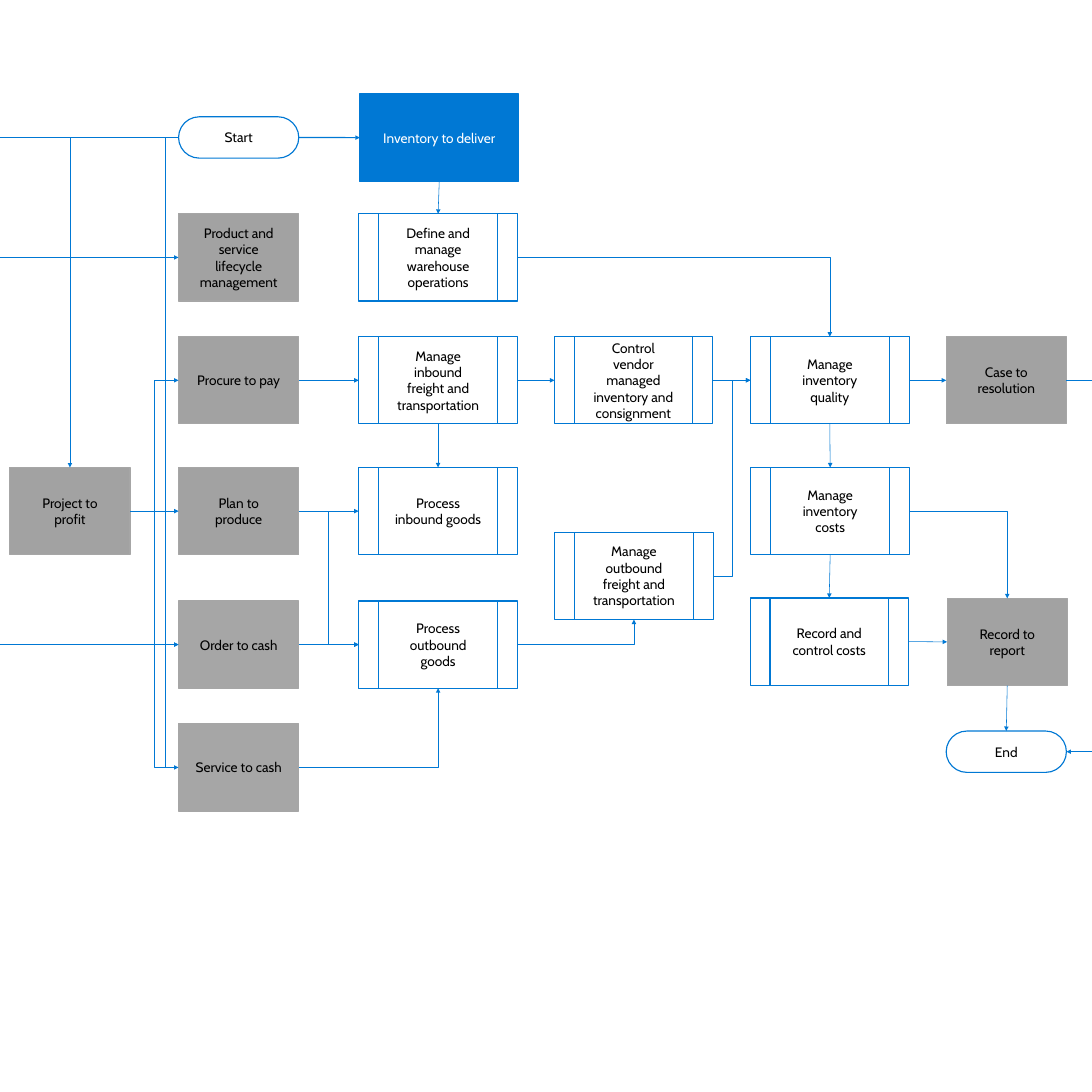
"""Draw the inventory-to-deliver process map."""
from dataclasses import dataclass

from lxml import etree
from pptx import Presentation
from pptx.dml.color import RGBColor
from pptx.enum.shapes import MSO_CONNECTOR, MSO_SHAPE
from pptx.enum.text import MSO_ANCHOR, PP_ALIGN
from pptx.oxml.ns import qn
from pptx.util import Pt

RECTANGLE = MSO_SHAPE.RECTANGLE
ROUNDED = MSO_SHAPE.ROUNDED_RECTANGLE
PREDEFINED = MSO_SHAPE.FLOWCHART_PREDEFINED_PROCESS
STRAIGHT = MSO_CONNECTOR.STRAIGHT
ELBOW = MSO_CONNECTOR.ELBOW
MIDDLE = MSO_ANCHOR.MIDDLE
CENTER = PP_ALIGN.CENTER

TOP, LEFT, BOTTOM, RIGHT = range(4)
SITES = {TOP: (0.5, 0), LEFT: (0, 0.5), BOTTOM: (0.5, 1), RIGHT: (1, 0.5)}


@dataclass(frozen=True)
class Theme:
    font: str = "Cabin"
    size: float = 18
    blue: str = "0078D4"
    white: str = "FFFFFF"
    black: str = "000000"
    gray: str = "A2A2A2"
    light_gray: str = "A6A6A6"
    thick: float = 1.5
    thin: float = 0.75
    inset_x: float = 21.6
    inset_y: float = 17.28


class ProcessMap:
    def __init__(self, page, theme):
        self.page = page
        self.theme = theme
        self.boxes = {}

    def box(self, preset, text, left, top, width, height, fill, line, color):
        theme = self.theme
        box = self.page.shapes.add_shape(
            preset, Pt(left), Pt(top), Pt(width), Pt(height))
        box.shadow.inherit = False
        if fill:
            box.fill.solid()
            box.fill.fore_color.rgb = RGBColor.from_string(fill)
        else:
            box.fill.background()
        box.line.color.rgb = RGBColor.from_string(line)
        box.line.width = Pt(theme.thick)
        frame = box.text_frame
        frame.word_wrap = True
        frame.vertical_anchor = MIDDLE
        frame.margin_left = frame.margin_right = Pt(theme.inset_x)
        frame.margin_top = frame.margin_bottom = Pt(theme.inset_y)
        para = frame.paragraphs[0]
        para.alignment = CENTER
        span = para.add_run()
        span.text = text
        span.font.name = theme.font
        span.font.size = Pt(theme.size)
        span.font.color.rgb = RGBColor.from_string(color)
        self.boxes[text] = box
        return box

    def terminal(self, text, left, top):
        box = self.box(ROUNDED, text, left, top, 158.5, 54.5,
                       None, self.theme.blue, self.theme.black)
        box.adjustments[0] = 0.5

    def related(self, text, left, top, fill):
        self.box(RECTANGLE, text, left, top, 158.5, 115,
                 fill, self.theme.light_gray, self.theme.black)

    def title(self, text, left, top):
        self.box(RECTANGLE, text, left, top, 209.5, 115,
                 self.theme.blue, self.theme.blue, self.theme.white)

    def process(self, text, left, top, width=209.5):
        self.box(PREDEFINED, text, left, top, width, 115,
                 self.theme.white, self.theme.blue, self.theme.black)

    def point(self, end):
        first, second = end
        if first not in self.boxes:
            return Pt(first), Pt(second)
        box = self.boxes[first]
        across, down = SITES[second]
        return (int(box.left + across * box.width),
                int(box.top + down * box.height))

    def connect(self, start, finish, weight, kind=STRAIGHT, preset=None, head=True):
        line = self.page.shapes.add_connector(
            kind, *self.point(start), *self.point(finish))
        if start[0] in self.boxes:
            line.begin_connect(self.boxes[start[0]], start[1])
        if finish[0] in self.boxes:
            line.end_connect(self.boxes[finish[0]], finish[1])
        line.line.color.rgb = RGBColor.from_string(self.theme.blue)
        line.line.width = Pt(weight)
        properties = line.element.spPr
        if preset:
            properties.find(qn("a:prstGeom")).set("prst", preset)
        if head:
            etree.SubElement(properties.find(qn("a:ln")), qn("a:tailEnd"),
                             type="triangle")
        etree.SubElement(properties, qn("a:effectLst"))

    def corner(self, start, finish):
        self.connect(start, finish, self.theme.thin, ELBOW, "bentConnector2")

    def step(self, start, finish):
        self.connect(start, finish, self.theme.thin, ELBOW)


def main():
    theme = Theme()
    side = 1440
    deck = Presentation()
    deck.slide_width = deck.slide_height = Pt(side)
    page = deck.slides.add_slide(deck.slide_layouts[6])
    chart = ProcessMap(page, theme)

    project_x, related_x = 13, 235.5
    inbound_x, vendor_x, quality_x, report_x = (473 + 258.25 * i for i in range(4))
    define_y, procure_y, plan_y, order_y, service_y = 282, 444, 616.5, 792.5, 954.5

    chart.terminal("Start", related_x, 154)
    chart.terminal("End", report_x, 964)
    chart.title("Inventory to deliver", 474.5, 124)
    for text, left, top, fill in (
        ("Product and service lifecycle management", related_x, define_y, theme.gray),
        ("Procure to pay", related_x, procure_y, theme.gray),
        ("Plan to produce", related_x, plan_y, theme.gray),
        ("Order to cash", related_x, order_y, theme.light_gray),
        ("Service to cash", related_x, service_y, theme.light_gray),
        ("Project to profit", project_x, plan_y, theme.gray),
        ("Case to resolution", report_x, procure_y, theme.gray),
        ("Record to report", 1249, 789, theme.gray),
    ):
        chart.related(text, left, top, fill)
    for text, left, top in (
        ("Define and manage warehouse operations", inbound_x, define_y),
        ("Manage inbound freight and transportation", inbound_x, procure_y),
        ("Process inbound goods", inbound_x, plan_y),
        ("Process outbound goods", inbound_x, order_y),
        ("Manage outbound freight and transportation", vendor_x, 702),
        ("Manage inventory quality", quality_x, procure_y),
        ("Manage inventory costs", 990, plan_y),
    ):
        chart.process(text, left, top)
    chart.process("Control vendor managed inventory and consignment",
                  vendor_x, procure_y, 208)
    chart.process("Record and control costs", quality_x, 788.5, 208)

    define = "Define and manage warehouse operations"
    inbound = "Manage inbound freight and transportation"
    outbound = "Manage outbound freight and transportation"
    vendor = "Control vendor managed inventory and consignment"
    quality, costs = "Manage inventory quality", "Manage inventory costs"
    control, report = "Record and control costs", "Record to report"
    goods_in, goods_out = "Process inbound goods", "Process outbound goods"
    project, plan, order = "Project to profit", "Plan to produce", "Order to cash"
    procure, service = "Procure to pay", "Service to cash"

    for source, target, weight in (
        ("Start", "Inventory to deliver", theme.thick),
        (procure, inbound, theme.thick),
        (plan, goods_in, theme.thick),
        (order, goods_out, theme.thick),
        (inbound, vendor, theme.thin),
        (vendor, quality, theme.thin),
        (quality, "Case to resolution", theme.thin),
        (control, report, theme.thin),
        (project, plan, theme.thin),
    ):
        chart.connect((source, RIGHT), (target, LEFT), weight)
    for source, target, weight in (
        ("Inventory to deliver", define, theme.thin),
        (inbound, goods_in, theme.thick),
        (quality, costs, theme.thin),
        (costs, control, theme.thin),
        (report, "End", theme.thin),
    ):
        chart.connect((source, BOTTOM), (target, TOP), weight)
    for source, target in ((outbound, quality), (plan, goods_out),
                           (project, procure), (project, order), (project, service)):
        chart.step((source, RIGHT), (target, LEFT))
    for start, finish in (
        (("Start", LEFT), (project, TOP)),
        ((define, RIGHT), (quality, TOP)),
        ((costs, RIGHT), (report, TOP)),
        ((goods_out, RIGHT), (outbound, BOTTOM)),
        ((service, RIGHT), (goods_out, BOTTOM)),
    ):
        chart.corner(start, finish)

    start_y, trunk_x = 181.25, 217.5
    chart.connect(("Start", LEFT), (0, start_y), theme.thin, head=False)
    chart.connect((trunk_x, start_y), (trunk_x, 1012), theme.thin, head=False)
    chart.connect((0, 339.5), ("Product and service lifecycle management", LEFT),
                  theme.thin)
    chart.connect((0, 850), (order, LEFT), theme.thin)
    chart.connect(("Case to resolution", RIGHT), (side, 501.5), theme.thin, head=False)
    chart.connect((side, 991.25), ("End", RIGHT), theme.thin)
    deck.save("out.pptx")


if __name__ == "__main__":
    main()
